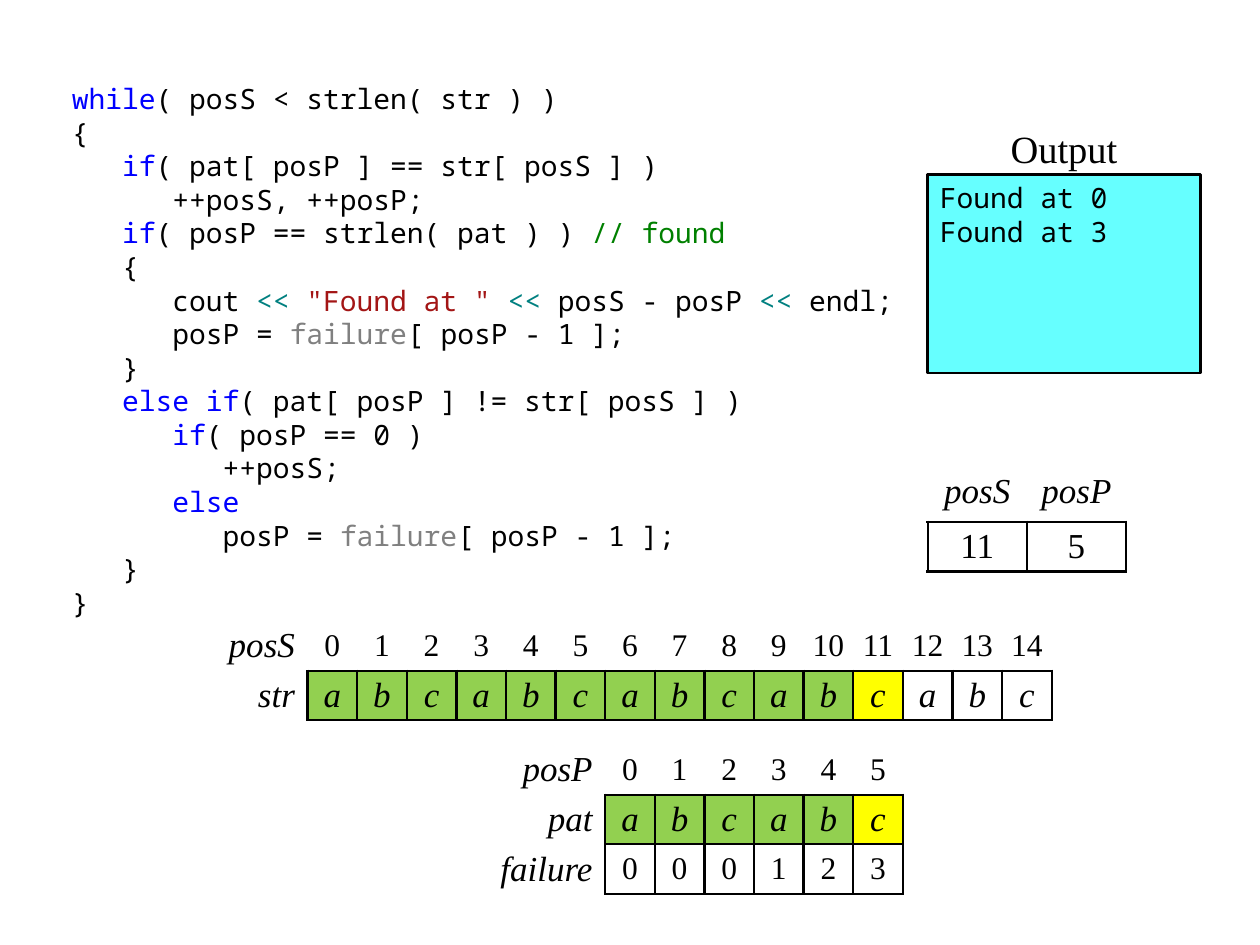
from lxml import etree
from pptx import Presentation
from pptx import util as u
from pptx.dml.color import RGBColor
from pptx.enum import shapes, text
from pptx.oxml.ns import qn

UNIT = u.Cm(1)
SERIF, MONO = "Times New Roman", "Noto Sans Mono"
BLACK, WHITE, GREEN, YELLOW, CYAN = "000000", "FFFFFF", "92D050", "FFFF00", "66FFFF"
LEFT, CENTER, RIGHT = text.PP_ALIGN.LEFT, text.PP_ALIGN.CENTER, text.PP_ALIGN.RIGHT

TOKEN_COLOURS = {
    "while": "0000FF", "if": "0000FF", "else if": "0000FF", "else": "0000FF",
    "<< ": "008080", '"Found at " ': "A31515", "// found": "008000", "failure": "808080",
}
CODE = """while|( posS < strlen( str ) )
{
   |if|( pat[ posP ] == str[ posS ] )
      ++posS, ++posP;
   |if|( posP == strlen( pat ) ) |// found
   {
      cout |<< |"Found at " |<< |posS - posP |<< |endl;
      posP = |failure|[ posP - 1 ];
   }
   |else if|( pat[ posP ] != str[ posS ] )
      |if|( posP == 0 )
         ++posS;
      |else
         posP = |failure|[ posP - 1 ];
   }
}"""


def colour(value):
    return RGBColor.from_string(value)


def grid(*values):
    return [round(value * UNIT) for value in values]


def style_run(run, font, size, fill=BLACK, italic=False):
    run.font.name = font
    run.font.size = u.Pt(size)
    run.font.italic = italic
    run.font.color.rgb = colour(fill)


def write_lines(frame, lines, font, size, align=LEFT):
    frame.word_wrap = True
    frame.vertical_anchor = text.MSO_ANCHOR.TOP
    for index, line in enumerate(lines):
        paragraph = frame.add_paragraph() if index else frame.paragraphs[0]
        paragraph.alignment = align
        for token in line.split("|"):
            run = paragraph.add_run()
            run.text = token
            style_run(run, font, size, TOKEN_COLOURS.get(token, BLACK))


def add_text(slide, box, lines, font, size, align=LEFT):
    frame = slide.shapes.add_textbox(*grid(*box)).text_frame
    write_lines(frame, lines, font, size, align)
    return frame


def add_output_box(slide, box, lines):
    shape = slide.shapes.add_shape(shapes.MSO_SHAPE.RECTANGLE, *grid(*box))
    shape.shadow.inherit = False
    shape.fill.solid()
    shape.fill.fore_color.rgb = colour(CYAN)
    shape.line.color.rgb = colour(BLACK)
    shape.line.width = u.Pt(1.5)
    write_lines(shape.text_frame, lines, MONO, 16)


def set_borders(cell, sides):
    properties = cell._tc.get_or_add_tcPr()
    for side in "LRTB":
        line = etree.SubElement(properties, qn(f"a:ln{side}"), w=str(u.Pt(1.5)))
        if side in sides:
            fill = etree.SubElement(line, qn("a:solidFill"))
            etree.SubElement(fill, qn("a:srgbClr"), val=BLACK)
        else:
            etree.SubElement(line, qn("a:noFill"))


def fill_cell(cell, value, size, italic, align=CENTER, sides="", fill=None, inset=0.04):
    set_borders(cell, sides)
    if fill:
        cell.fill.solid()
        cell.fill.fore_color.rgb = colour(fill)
    else:
        cell.fill.background()
    cell.margin_left = cell.margin_right = u.Inches(inset)
    cell.margin_top = cell.margin_bottom = 0
    cell.vertical_anchor = text.MSO_ANCHOR.MIDDLE
    paragraph = cell.text_frame.paragraphs[0]
    paragraph.text = value
    paragraph.alignment = align
    style_run(paragraph.runs[0], SERIF, size, italic=italic)


def add_grid_table(slide, left, top, widths, row_count):
    box = grid(left, top, sum(widths), row_count)
    table = slide.shapes.add_table(row_count, len(widths), *box).table
    table.first_row = table.horz_banding = False
    for column, width in zip(table.columns, widths):
        column.width = round(width * UNIT)
    for row in table.rows:
        row.height = UNIT
    return table


def add_array_table(slide, left, top, label_width, rows, current):
    count = len(rows[0][1])
    table = add_grid_table(slide, left, top, [label_width] + [1] * count, len(rows))
    for row, (label, values) in enumerate(rows):
        fill_cell(table.cell(row, 0), label, 20, True, RIGHT, "R" if row else "", inset=0.1)
        for index, value in enumerate(values):
            letter = value.isalpha()
            fill = None
            if letter and index <= current:
                fill = YELLOW if index == current else GREEN
            fill_cell(table.cell(row, index + 1), value, 20 if letter else 18, letter,
                      sides="LRTB" if row else "B", fill=fill)


def add_position_table(slide, left, top, positions):
    table = add_grid_table(slide, left, top, [2] * len(positions), 2)
    for column, (name, value) in enumerate(positions.items()):
        heading = table.cell(0, column)
        fill_cell(heading, name, 20, True, sides="B", inset=0)
        heading.vertical_anchor = text.MSO_ANCHOR.TOP
        fill_cell(table.cell(1, column), str(value), 20, False, sides="LRTB")


def indexes(values):
    return [str(index) for index in range(len(values))]


def main():
    presentation = Presentation()
    presentation.slide_width, presentation.slide_height = u.Inches(10), u.Inches(7.5)
    slide = presentation.slides.add_slide(presentation.slide_layouts[6])

    code = add_text(slide, (1.2, 1.52, 17, 11), CODE.split("\n"), MONO, 16)
    code.margin_right = u.Inches(0.04)

    string, pattern = "abc" * 5, "abcabc"
    positions = {"posS": 11, "posP": 5}
    add_array_table(slide, 4.2, 12.52, 2,
                    [("posS", indexes(string)), ("str", string)], positions["posS"])
    add_position_table(slide, 18.7, 9.52, positions)
    add_array_table(slide, 9.7, 15.02, 2.5,
                    [("posP", indexes(pattern)), ("pat", pattern), ("failure", "000123")],
                    positions["posP"])

    add_output_box(slide, (18.7, 3.52, 5.5, 4), ["Found at 0", "Found at 3"])
    title = add_text(slide, (19.7, 2.52, 3.5, 1), ["Output"], SERIF, 22, CENTER)
    title.margin_top = 0
    presentation.save("out.pptx")


if __name__ == "__main__":
    main()
